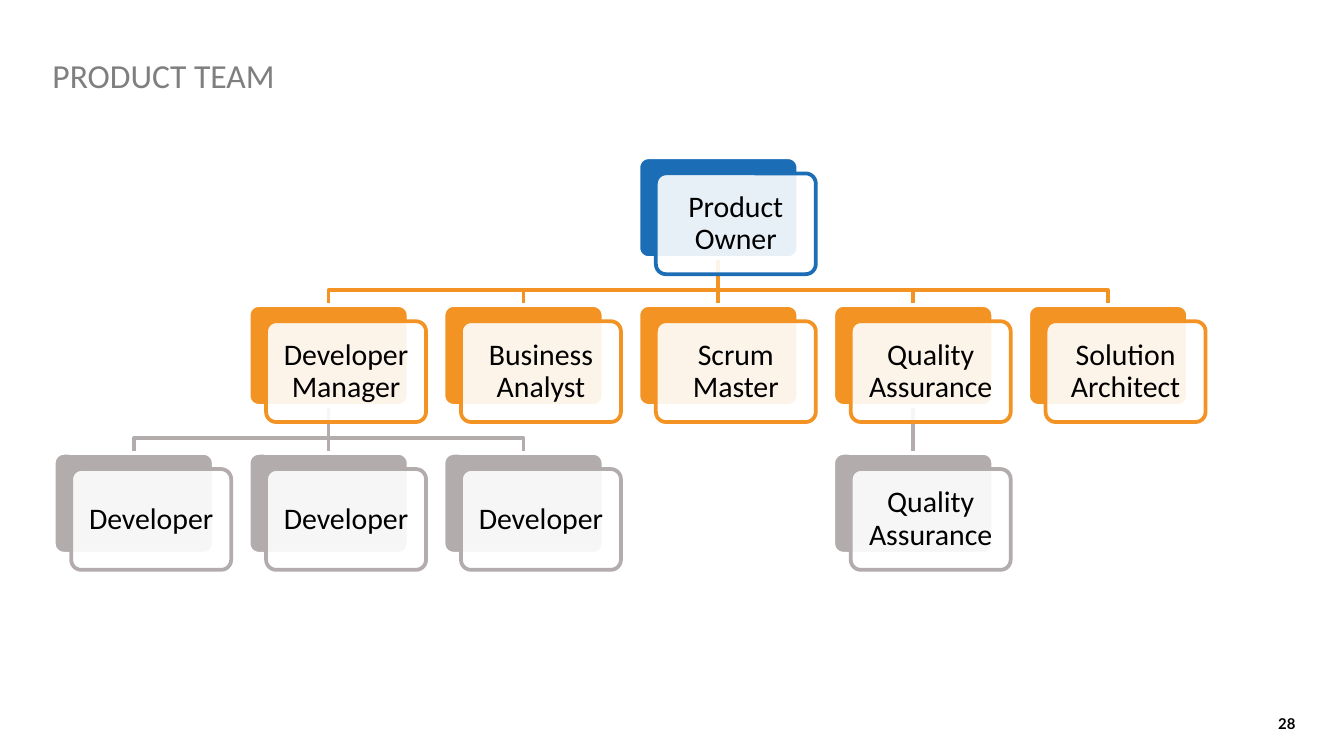
from lxml import etree
from pptx import Presentation
from pptx.dml.color import RGBColor
from pptx.enum.shapes import MSO_CONNECTOR, MSO_SHAPE
from pptx.enum.text import MSO_ANCHOR, PP_ALIGN
from pptx.oxml.ns import qn
from pptx.util import Inches, Pt

ROUNDED = MSO_SHAPE.ROUNDED_RECTANGLE
STRAIGHT = MSO_CONNECTOR.STRAIGHT
LEFT, CENTER = PP_ALIGN.LEFT, PP_ALIGN.CENTER
TOP, MIDDLE = MSO_ANCHOR.TOP, MSO_ANCHOR.MIDDLE

COLORS = {
    "owner": "1B6DB6",
    "lead": "F39323",
    "member": "B3ACAD",
    "title": "7F7F7F",
    "white": "FFFFFF",
    "black": "000000",
}
LEVELS = ["owner", "lead", "member"]

# Name, column, row, index of the superior
ROLES = [
    ("Product Owner", 3, 0, None),
    ("Developer Manager", 1, 1, 0),
    ("Business Analyst", 2, 1, 0),
    ("Scrum Master", 3, 1, 0),
    ("Quality Assurance", 4, 1, 0),
    ("Solution Architect", 5, 1, 0),
    ("Developer", 0, 2, 1),
    ("Developer", 1, 2, 1),
    ("Developer", 2, 2, 1),
    ("Quality Assurance", 4, 2, 4),
]
COLUMN_STEP, ROW_STEP = 1.45, 1.1
CARD_WIDTH, CARD_HEIGHT = 1.19, 0.75
FRONT_OFFSET = 0.13, 0.12
BUS_DROP = 0.24
LINE_WIDTH = Pt(2)


def color(name):
    return RGBColor.from_string(COLORS[name])


def write_text(shape, text, size, ink="black", font="Calibri", bold=False,
               align=LEFT, anchor=TOP, inset=0, spacing=1.0):
    frame = shape.text_frame
    frame.word_wrap = True
    frame.vertical_anchor = anchor
    frame.margin_left = frame.margin_right = Inches(inset)
    frame.margin_top = frame.margin_bottom = Inches(inset)
    para = frame.paragraphs[0]
    para.alignment = align
    para.line_spacing = spacing
    span = para.add_run()
    span.text = text
    span.font.name = font
    span.font.size = Pt(size)
    span.font.bold = bold
    span.font.color.rgb = color(ink)


def add_label(slide, box, text, **style):
    label = slide.shapes.add_textbox(*map(Inches, box))
    write_text(label, text, **style)


def add_panel(slide, left, top, fill, line):
    panel = slide.shapes.add_shape(
        ROUNDED, *map(Inches, (left, top, CARD_WIDTH, CARD_HEIGHT)))
    panel.adjustments[0] = 0.1
    panel.shadow.inherit = False
    panel.fill.solid()
    panel.fill.fore_color.rgb = color(fill)
    panel.line.color.rgb = color(line)
    panel.line.width = LINE_WIDTH
    return panel


def add_card(slide, left, top, text, tint):
    """Place a solid back panel and a translucent, labelled front; return the back."""
    back = add_panel(slide, left, top, tint, "white")
    front = add_panel(slide, left + FRONT_OFFSET[0], top + FRONT_OFFSET[1],
                      "white", tint)
    fill_color = front._element.spPr.find(qn("a:solidFill"))[0]
    etree.SubElement(fill_color, qn("a:alpha"), val="90000")
    write_text(front, text, size=16, align=CENTER, anchor=MIDDLE,
               inset=0.07, spacing=0.9)
    return back


def add_link(slide, parent, child, tint):
    """Link a parent's bottom to a child's top, behind every card."""
    start_x, start_y = parent.left + parent.width // 2, parent.top + parent.height
    end_x, end_y = child.left + child.width // 2, child.top
    if start_x == end_x:
        link = slide.shapes.add_connector(STRAIGHT, start_x, start_y, end_x, end_y)
        link.begin_connect(parent, 2)
        link.end_connect(child, 0)
        etree.SubElement(link._element.spPr, qn("a:effectLst"))
    else:
        bus_y = start_y + Inches(BUS_DROP)
        outline = slide.shapes.build_freeform(start_x, start_y)
        outline.add_line_segments(
            [(start_x, bus_y), (end_x, bus_y), (end_x, end_y)], close=False)
        link = outline.convert_to_shape()
        link.fill.background()
        link.shadow.inherit = False
    link.line.color.rgb = color(tint)
    link.line.width = LINE_WIDTH
    link._element.getparent().insert(2, link._element)


def add_org_chart(slide, left, top):
    cards = [
        add_card(slide, left + column * COLUMN_STEP, top + row * ROW_STEP,
                 name, LEVELS[row])
        for name, column, row, _ in ROLES
    ]
    for card, (_, _, row, superior) in zip(cards, ROLES):
        if superior is not None:
            add_link(slide, cards[superior], card, LEVELS[row])


def main():
    deck = Presentation()
    deck.slide_width = Inches(10)
    deck.slide_height = deck.slide_width * 9 // 16
    slide = deck.slides.add_slide(deck.slide_layouts[6])
    add_label(slide, (0.39, 0.47, 9.21, 0.48), "PRODUCT TEAM",
              size=18, ink="title", spacing=0.8)
    add_label(slide, (9.51, 5.15, 0.49, 0.47), "28",
              size=8, font="Lato", bold=True, anchor=MIDDLE)
    add_org_chart(slide, 0.4, 1.17)
    deck.save("out.pptx")


if __name__ == "__main__":
    main()
